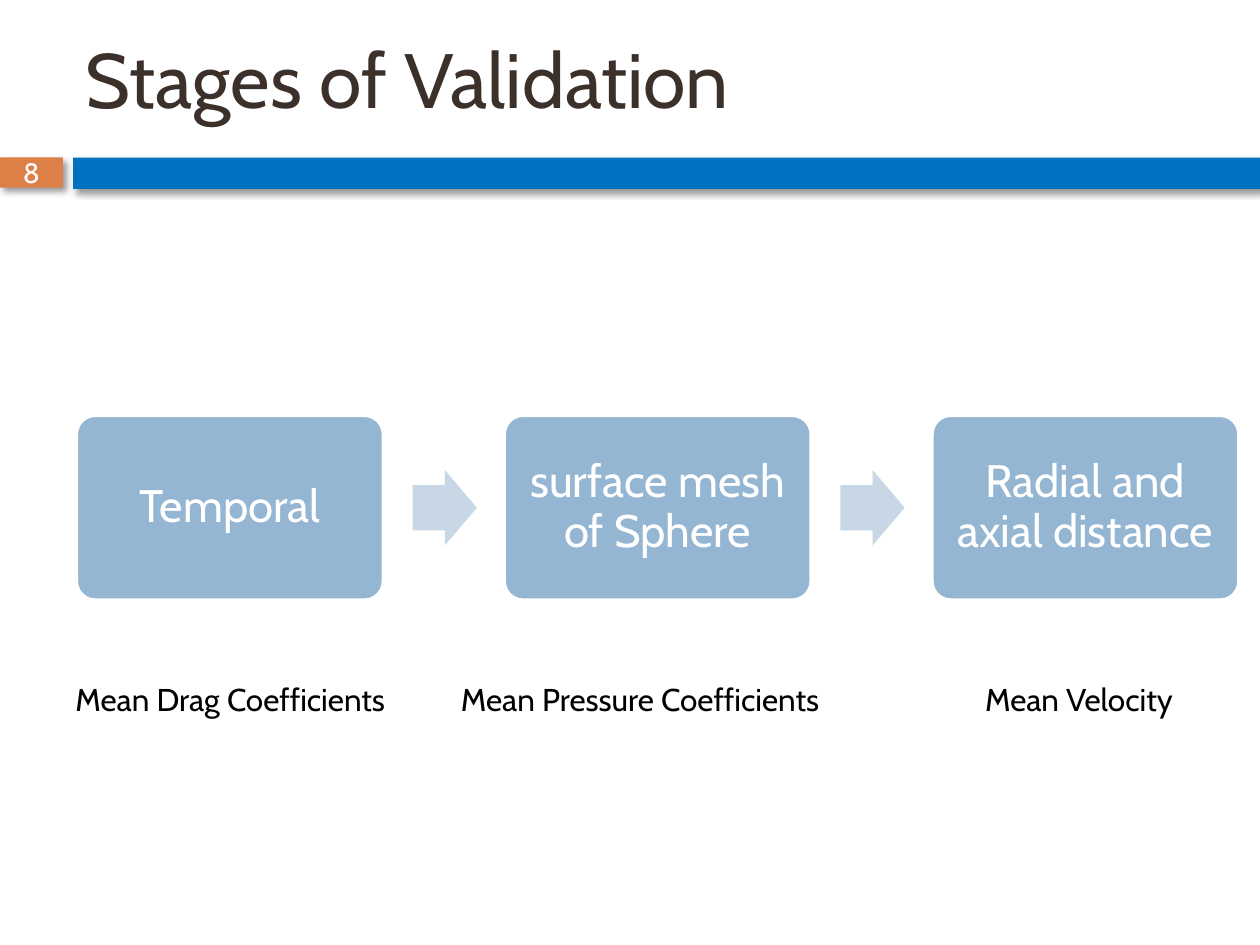
from dataclasses import dataclass

from lxml import etree
from pptx import Presentation
from pptx.dml.color import RGBColor
from pptx.enum.shapes import MSO_SHAPE as Shape
from pptx.enum.text import MSO_ANCHOR as Anchor, PP_ALIGN as Align
from pptx.oxml import parse_xml
from pptx.oxml.ns import nsdecls
from pptx.util import Inches, Pt


@dataclass(frozen=True)
class Theme:
    font: str = "Cabin"
    title: str = "3C302A"
    number_bar: str = "DD8047"
    title_bar: str = "0070C0"
    stage: str = "94B6D2"
    arrow: str = "C8D7E5"
    light: str = "FFFFFF"
    dark: str = "000000"
    title_size: int = 44
    stage_size: int = 26
    caption_size: int = 18
    number_size: int = 16


THEME = Theme()
TITLE = "Stages of Validation"
PAGE_NUMBER = "8"
STAGES = ["Temporal", "surface mesh of Sphere", "Radial and axial distance"]
CAPTIONS = [  # text, left offset in the row, width
    ("Mean Drag Coefficients", 0, 2.89),
    ("Mean Pressure Coefficients", 3.06, 3.3),
    ("Mean Velocity", 7.22, 1.77),
]


def inches(*lengths):
    return [Inches(length) for length in lengths]


def write(frame, text, size, color, align=Align.LEFT, anchor=Anchor.MIDDLE):
    frame.text = text
    frame.vertical_anchor = anchor
    paragraph = frame.paragraphs[0]
    paragraph.alignment = align
    paragraph.font.name = THEME.font
    paragraph.font.size = Pt(size)
    paragraph.font.color.rgb = RGBColor.from_string(color)
    return paragraph


def add_filled(slide, preset, box, color):
    shape = slide.shapes.add_shape(preset, *inches(*box))
    shape.shadow.inherit = False
    shape.fill.solid()
    shape.fill.fore_color.rgb = RGBColor.from_string(color)
    shape.line.fill.background()
    return shape


def add_bar(slide, box, color):
    """Rectangle with a soft shadow to the lower right."""
    bar = add_filled(slide, Shape.RECTANGLE, box, color)
    effects = bar.element.spPr.find("{*}effectLst")
    shadow = parse_xml(
        f'<a:outerShdw {nsdecls("a")} blurRad="{Pt(4)}" dist="{Pt(3)}" '
        'dir="2700000" rotWithShape="0"/>')
    black = etree.SubElement(shadow, "{%s}srgbClr" % shadow.nsmap["a"], val=THEME.dark)
    etree.SubElement(black, "{%s}alpha" % shadow.nsmap["a"], val="40000")
    effects.append(shadow)
    return bar


def add_header(slide, left, top, width, height):
    bar_top, bar_left = top + 1.25, left + 0.58
    number_bar = add_bar(slide, (left, bar_top, 0.5, 0.24), THEME.number_bar)
    add_bar(slide, (bar_left, bar_top, width - 0.58, height - 1.25), THEME.title_bar)

    frame = number_bar.text_frame
    frame.margin_top = frame.margin_bottom = 0
    write(frame, PAGE_NUMBER, THEME.number_size, THEME.light, Align.CENTER)

    title = slide.shapes.title
    title.left, title.top, title.width, title.height = inches(bar_left, top + 0.08, 9.25, 1.08)
    write(title.text_frame, TITLE, THEME.title_size, THEME.title)


def add_stage(slide, text, box):
    stage = add_filled(slide, Shape.ROUNDED_RECTANGLE, box, THEME.stage)
    stage.adjustments[0] = 0.1
    stage.line.color.rgb = RGBColor.from_string(THEME.light)
    stage.line.width = Pt(1.5)
    frame = stage.text_frame
    frame.word_wrap = True
    frame.margin_left = frame.margin_right = Inches(0.11)
    frame.margin_top = frame.margin_bottom = Inches(0.11)
    label = write(frame, text, THEME.stage_size, THEME.light, Align.CENTER)
    label.line_spacing = 0.9


def add_process(slide, left, top, width, height):
    """Equal stages across the box, with an arrow in each gap."""
    stage_width, arrow_width, arrow_height = 2.43, 0.51, 0.6
    pitch = (width - stage_width) / (len(STAGES) - 1)
    for index, text in enumerate(STAGES):
        stage_left = left + index * pitch
        if index:
            arrow_box = (stage_left - 0.73, top + (height - arrow_height) / 2,
                         arrow_width, arrow_height)
            arrow = add_filled(slide, Shape.RIGHT_ARROW, arrow_box, THEME.arrow)
            arrow.adjustments[0] = 0.6
            arrow.adjustments[1] = 0.5
        add_stage(slide, text, (stage_left, top, stage_width, height))


def add_captions(slide, left, top, height):
    for text, offset, width in CAPTIONS:
        caption = slide.shapes.add_textbox(*inches(left + offset, top, width, height))
        caption.text_frame.word_wrap = False
        write(caption.text_frame, text, THEME.caption_size, THEME.dark, anchor=Anchor.TOP)


def main():
    deck = Presentation()
    deck.slide_width, deck.slide_height = inches(10, 7.5)
    slide = deck.slides.add_slide(deck.slide_layouts.get_by_name("Title Only"))
    add_header(slide, 0, 0, 10, 1.5)
    add_process(slide, 0.61, 3.3, 9.22, 1.46)
    add_captions(slide, 0.5, 5.35, 0.4)
    deck.save("out.pptx")


if __name__ == "__main__":
    main()
